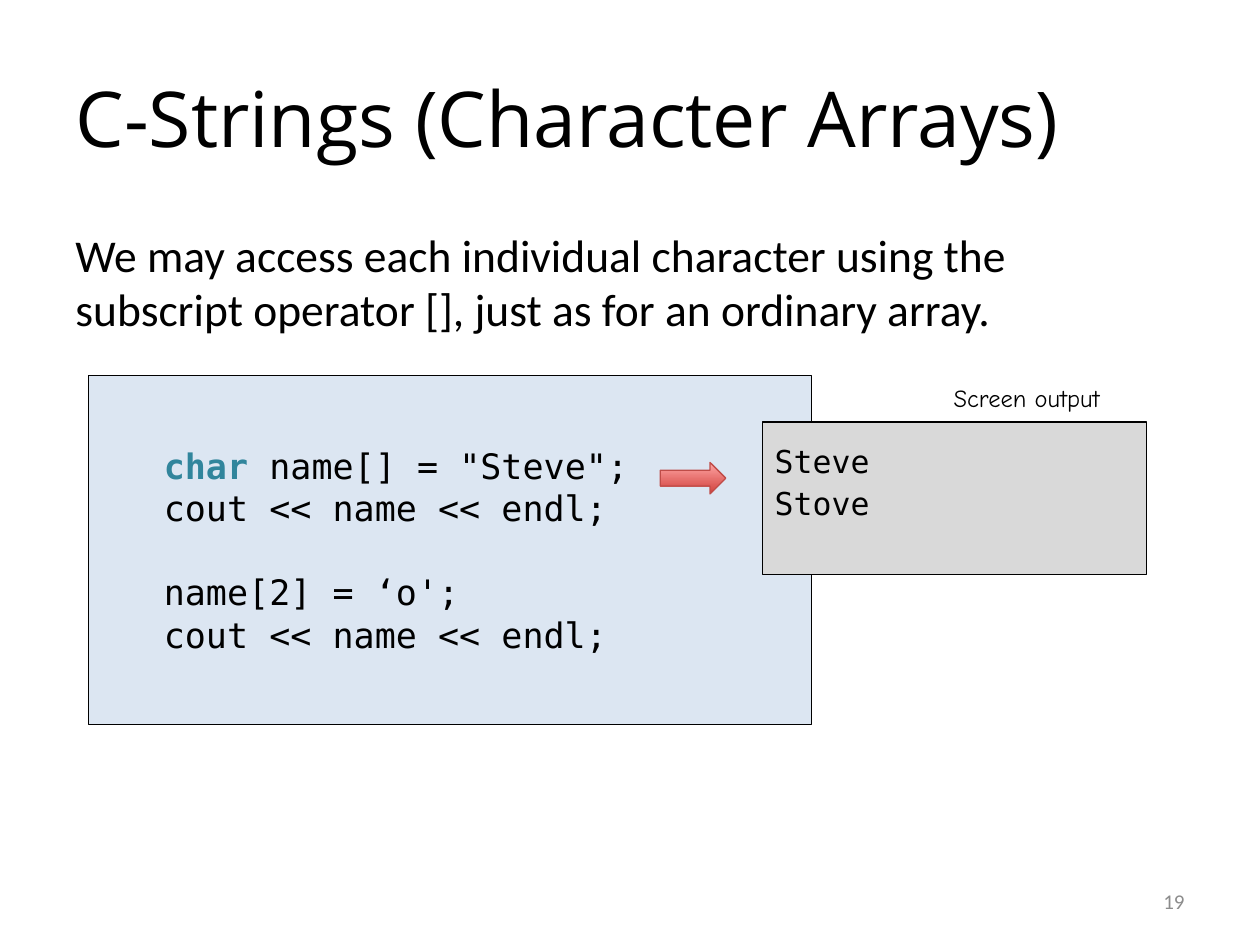
"""Build a slide about subscripting the characters of a C-string."""
from pptx import Presentation
from pptx.dml.color import RGBColor
from pptx.enum.shapes import MSO_SHAPE
from pptx.enum.text import MSO_ANCHOR, PP_ALIGN
from pptx.util import Inches, Pt

COLORS = {"black": "000000", "keyword": "31859C", "number": "8C8C8C",
          "code": "DCE6F2", "output": "D9D9D9", "arrow_line": "BF4C48",
          "arrow_dark": "D1403C", "arrow_light": "FFA6A5"}
MONO = "DejaVu Sans Mono"
TITLE = {"box": (0.5, 0.3, 9, 1.25), "size": 44, "font": "Open Sans",
         "lines": ["C-Strings (Character Arrays)"],
         "frame": {"vertical_anchor": MSO_ANCHOR.MIDDLE}}
TEXTS = [
    {"box": (0.5, 1.75, 9, 4.95), "size": 26, "font": "Calibri",
     "lines": ["We may access each individual character using the subscript "
               "operator [], just as for an ordinary array."],
     "paragraph": {"space_before": Pt(5)}},
    {"box": (7.17, 6.95, 2.33, 0.4), "size": 12, "font": "Calibri",
     "color": "number", "lines": ["19"],
     "paragraph": {"alignment": PP_ALIGN.RIGHT},
     "frame": {"vertical_anchor": MSO_ANCHOR.MIDDLE}},
    {"box": (0.7, 2.98, 5.74, 2.77), "size": 20, "font": MONO, "fill": "code",
     "lines": [[("char", "keyword"), (' name[] = "Steve";', "black")],
               "cout << name << endl;", "name[2] = ‘o';",
               "cout << name << endl;"],
     "gap_before": {2: 24},
     "frame": {"vertical_anchor": MSO_ANCHOR.MIDDLE, "margin_left": Inches(0.6)}},
    {"box": (7.47, 2.99, 1.72, 0.34), "size": 14, "font": "Comic Neue",
     "lines": ["Screen output"]},
    {"box": (6.05, 3.35, 3.05, 1.21), "size": 18, "font": MONO,
     "fill": "output", "lines": ["Steve"],
     "frame": {"vertical_anchor": MSO_ANCHOR.TOP, "margin_top": Inches(0.16)}},
    {"box": (6.05, 3.79, 1.1, 0.4), "size": 18, "font": MONO,
     "lines": ["Stove"]},
]
ARROW_BOX = (5.24, 3.67, 0.52, 0.25)


def color(name):
    return RGBColor.from_string(COLORS[name])


def set_all(target, values):
    for name, value in values.items():
        setattr(target, name, value)


def outline(shape, line_color):
    shape.shadow.inherit = False
    shape.line.color.rgb = color(line_color)
    shape.line.width = Pt(0.75)


def write(shape, item):
    frame = shape.text_frame
    set_all(frame, {"word_wrap": True, **item.get("frame", {})})
    for index, line in enumerate(item["lines"]):
        paragraph = frame.paragraphs[0] if index == 0 else frame.add_paragraph()
        set_all(paragraph, {"alignment": PP_ALIGN.LEFT, **item.get("paragraph", {})})
        if index in item.get("gap_before", {}):
            paragraph.space_before = Pt(item["gap_before"][index])
        parts = [(line, item.get("color", "black"))] if isinstance(line, str) else line
        for text, color_name in parts:
            run = paragraph.add_run()
            run.text = text
            set_all(run.font, {"name": item["font"], "size": Pt(item["size"]),
                               "bold": color_name == "keyword"})
            run.font.color.rgb = color(color_name)


presentation = Presentation()
set_all(presentation, {"slide_width": Inches(10), "slide_height": Inches(7.5)})
slide = presentation.slides.add_slide(presentation.slide_layouts[5])
title = slide.shapes.title
set_all(title, dict(zip(("left", "top", "width", "height"), map(Inches, TITLE["box"]))))
write(title, TITLE)

for item in TEXTS:
    box = [Inches(length) for length in item["box"]]
    if "fill" in item:
        shape = slide.shapes.add_shape(MSO_SHAPE.RECTANGLE, *box)
        shape.fill.solid()
        shape.fill.fore_color.rgb = color(item["fill"])
        outline(shape, "black")
    else:
        shape = slide.shapes.add_textbox(*box)
    write(shape, item)

arrow = slide.shapes.add_shape(MSO_SHAPE.RIGHT_ARROW, *map(Inches, ARROW_BOX))
arrow.fill.gradient()
arrow.fill.gradient_angle = 90
for stop, position, name in zip(arrow.fill.gradient_stops, (0, 1),
                                ("arrow_dark", "arrow_light")):
    stop.position = position
    stop.color.rgb = color(name)
outline(arrow, "arrow_line")

presentation.save("out.pptx")
